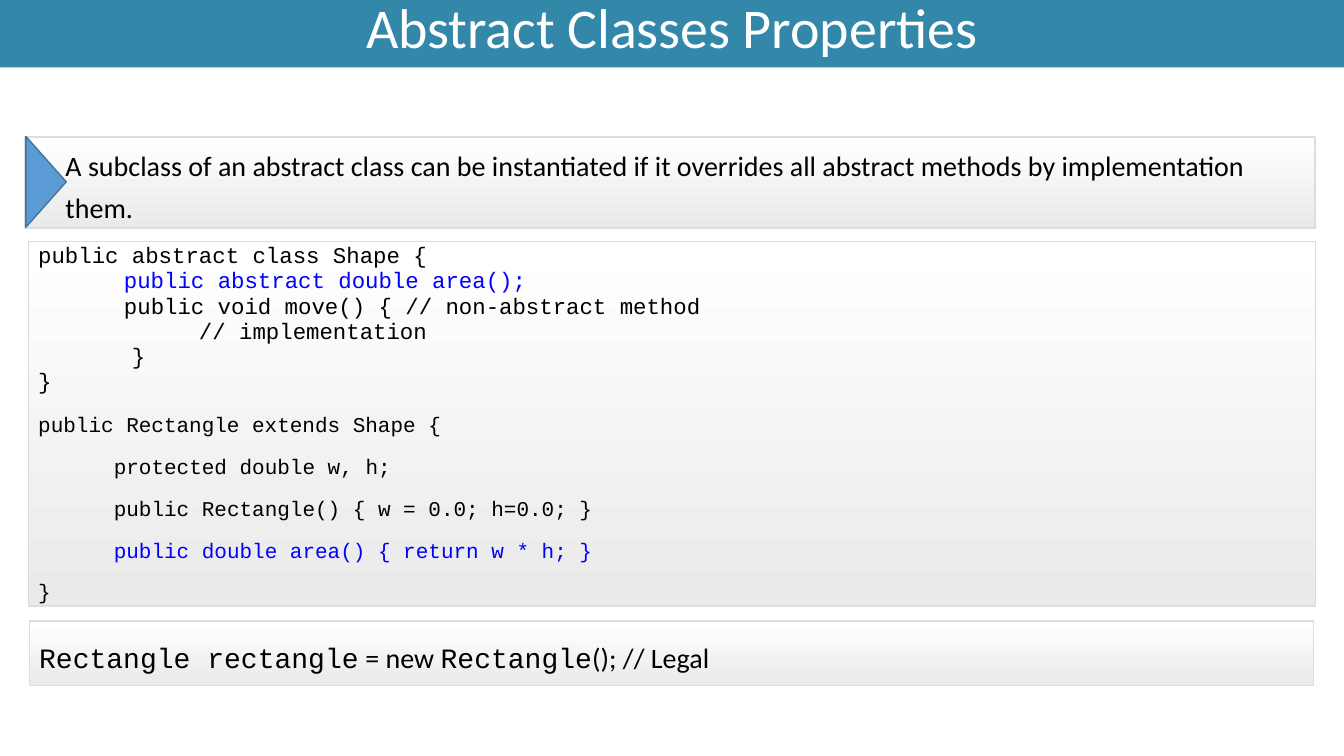
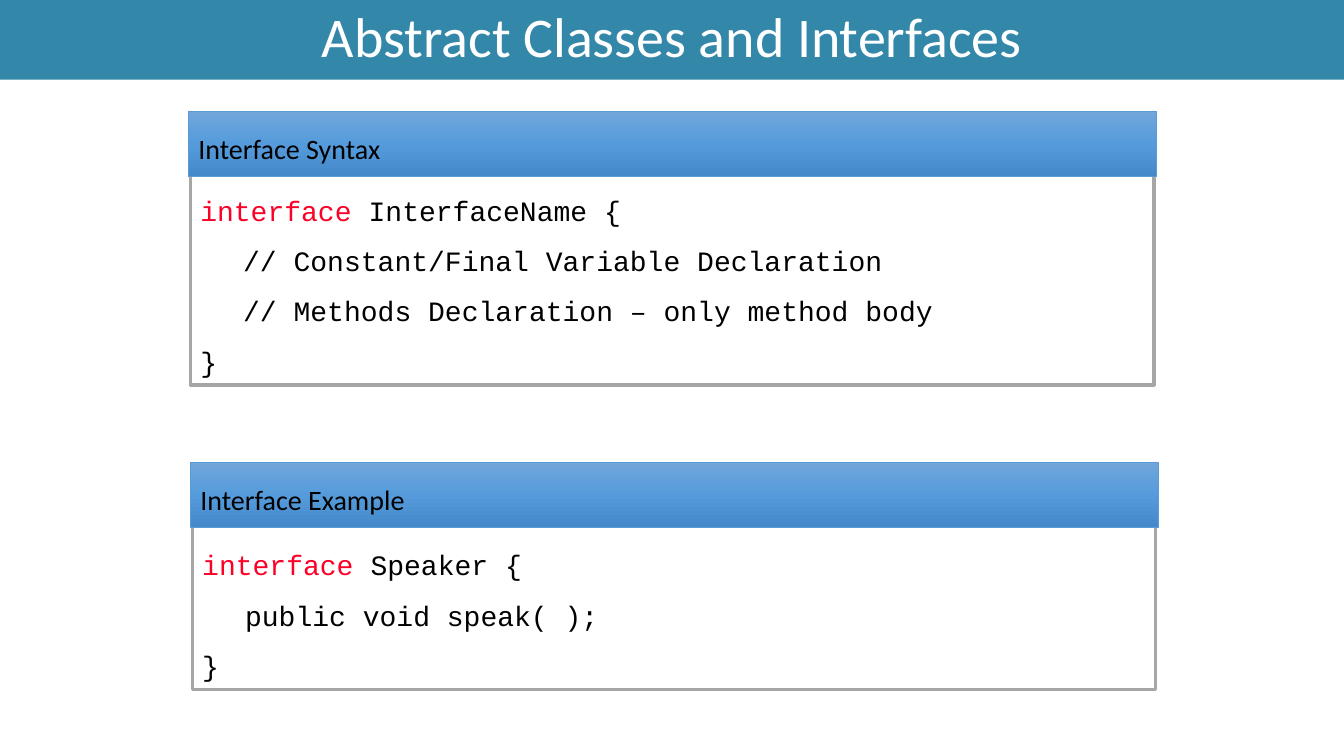
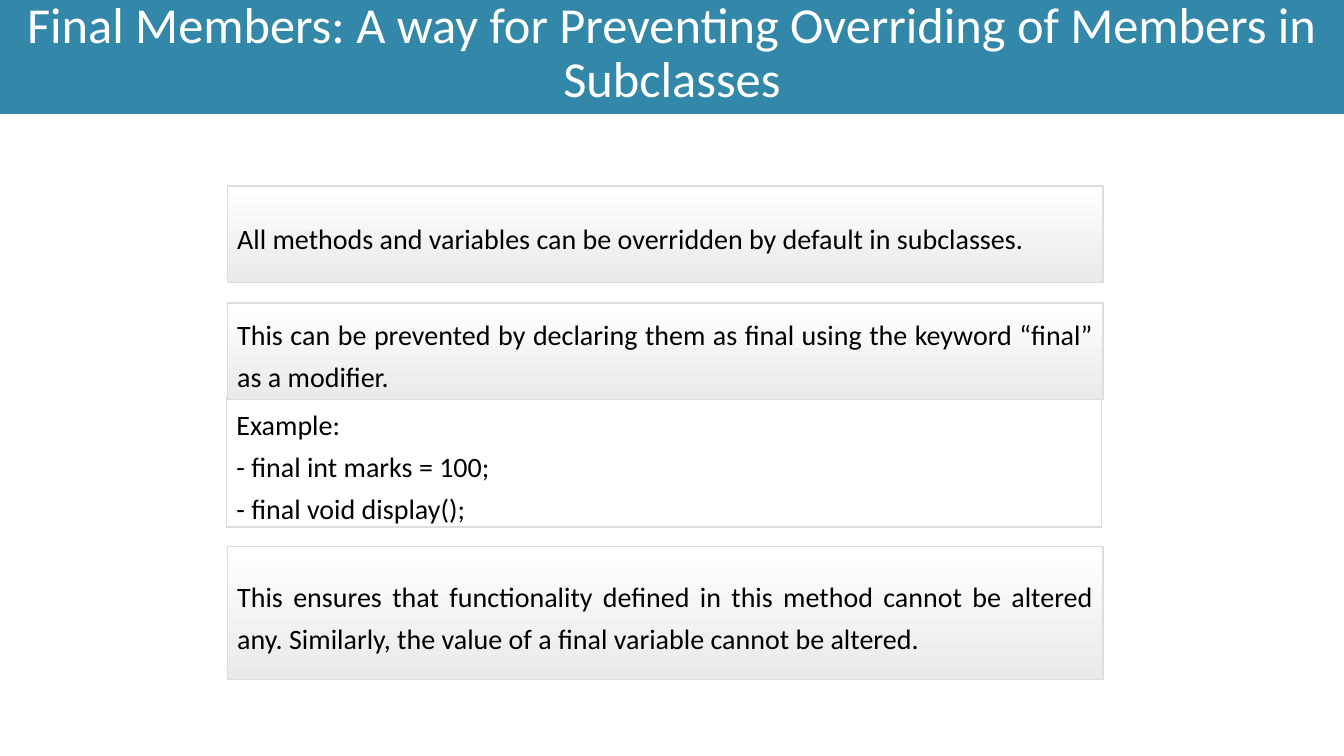
from lxml import etree
from pptx import Presentation
from pptx.dml.color import RGBColor
from pptx.enum.shapes import MSO_SHAPE
from pptx.enum.text import MSO_ANCHOR, MSO_AUTO_SIZE, PP_ALIGN
from pptx.oxml.ns import qn
from pptx.util import Pt

RECT, TRIANGLE = MSO_SHAPE.RECTANGLE, MSO_SHAPE.ISOSCELES_TRIANGLE
TOP, MIDDLE = MSO_ANCHOR.TOP, MSO_ANCHOR.MIDDLE
LEFT, CENTER, JUSTIFY = PP_ALIGN.LEFT, PP_ALIGN.CENTER, PP_ALIGN.JUSTIFY
NO_FIT = MSO_AUTO_SIZE.NONE

SANS, MONO = "Calibri", "Courier New"
SLIDE_W, SLIDE_H = 960, 540
COLORS = {
    "band": "3388A9", "white": "FFFFFF", "black": "000000",
    "panel_end": "EAEAEA", "panel_line": "DDDDDD", "frame": "A6A6A6",
    "blue_top": "71A6DB", "blue_mid": "559BDB", "blue_end": "448ACA",
    "accent": "5B9BD5", "accent_line": "43739E",
    "code_blue": "0000FF", "keyword": "FC0128",
}
PANEL_FILL = ("white", "panel_end")
HEADER_FILL = ("blue_top", "blue_mid", "blue_end")
TEXT_TABS = [54 + 72 * i for i in range(8)]


def rgb(name):
    return RGBColor.from_string(COLORS[name])


class Deck:
    def __init__(self):
        self.prs = Presentation()
        self.prs.slide_width, self.prs.slide_height = Pt(SLIDE_W), Pt(SLIDE_H)
        self.s = None

    def slide(self, title, height, size=40, lift=0):
        """Start a slide with a title band; lift raises the text in the band."""
        self.s = self.prs.slides.add_slide(self.prs.slide_layouts[5])
        sp = self.s.shapes.title
        sp.left, sp.top, sp.width, sp.height = 0, 0, Pt(SLIDE_W), Pt(height)
        sp.fill.solid()
        sp.fill.fore_color.rgb = rgb("band")
        self.frame(sp.text_frame, MIDDLE, 0, lift)
        self.paragraph(sp.text_frame.paragraphs[0], [(title, "white", SANS)],
                       size, 0.9, CENTER)

    def frame(self, tf, anchor, top, bottom, left=7.2):
        tf.word_wrap, tf.auto_size, tf.vertical_anchor = True, NO_FIT, anchor
        tf.margin_left, tf.margin_right = Pt(left), Pt(7.2)
        tf.margin_top, tf.margin_bottom = Pt(top), Pt(bottom)

    def paragraph(self, p, runs, size, spacing, align=LEFT, tabs=()):
        p.alignment, p.line_spacing = align, spacing
        if tabs:
            tab_list = etree.SubElement(p._p.get_or_add_pPr(), qn("a:tabLst"))
            for pos in tabs:
                etree.SubElement(tab_list, qn("a:tab"), pos=str(Pt(pos)), algn="l")
        for text, color, font in runs:
            r = p.add_run()
            r.text = text
            r.font.size, r.font.name = Pt(size), font
            r.font.color.rgb = rgb(color)

    def shape(self, kind, box, fill, line, width):
        """Fill is a tuple of colour names: none, one, or a vertical gradient."""
        sp = self.s.shapes.add_shape(kind, *(Pt(v) for v in box))
        sp.shadow.inherit = False
        sp.line.color.rgb, sp.line.width = rgb(line), Pt(width)
        if not fill:
            sp.fill.background()
        elif len(fill) == 1:
            sp.fill.solid()
            sp.fill.fore_color.rgb = rgb(fill[0])
        else:
            sp.fill.gradient()
            sp.fill.gradient_angle = 270
            stops = next(sp.element.iter(qn("a:gsLst")))
            for gs in list(stops):
                stops.remove(gs)
            for i, name in enumerate(fill):
                pos = str(100000 * i // (len(fill) - 1))
                gs = etree.SubElement(stops, qn("a:gs"), pos=pos)
                etree.SubElement(gs, qn("a:srgbClr"), val=COLORS[name])
        return sp

    def panel(self, box, lines, align=LEFT, fill=PANEL_FILL, line="panel_line",
              width=1, left=7.2):
        """Box of 20 pt text; each line is a list of runs."""
        sp = self.shape(RECT, box, fill, line, width)
        tf = sp.text_frame
        self.frame(tf, MIDDLE, 7.2, 7.2, left)
        self.paragraphs(tf, lines, 20, Pt(30), align, TEXT_TABS)

    def paragraphs(self, tf, lines, *style):
        for runs in lines:
            first = not tf.paragraphs[0].runs
            p = tf.paragraphs[0] if first else tf.add_paragraph()
            self.paragraph(p, runs, *style)

    def two_part_code(self, box, tight, loose):
        """Code panel with closely set lines followed by widely set ones."""
        tf = self.shape(RECT, box, PANEL_FILL, "panel_line", 1).text_frame
        self.frame(tf, MIDDLE, 7.2, 7.2)
        self.paragraphs(tf, tight, 16, Pt(18), LEFT, [23])
        self.paragraphs(tf, loose, 15, Pt(30), LEFT, TEXT_TABS)

    def code_card(self, x, header_top, code_top, code_height, heading, lines):
        """Framed code under a blue heading bar."""
        tf = self.shape(RECT, (x + 1.4, code_top, 688.3, code_height), (),
                        "frame", 2.25).text_frame
        self.frame(tf, TOP, 3.6, 3.6)
        self.paragraphs(tf, lines, 20, 1.5, LEFT, [30.6])
        self.panel((x, header_top, 691.2, 46.4), [sans(heading)],
                   fill=HEADER_FILL, line="accent", width=0.5)

    def pointer(self, x, y, width, height):
        """Triangle pointing right that fills the given box."""
        box = (x + (width - height) / 2, y + (height - width) / 2, height, width)
        self.shape(TRIANGLE, box, ("accent",), "accent_line", 1).rotation = 90


def sans(text, color="black"):
    return [(text, color, SANS)]


def code(text, color="black"):
    return [(text, color, MONO)]


def properties_slide(deck):
    deck.slide("Abstract Classes Properties", 48.2, lift=5)
    deck.panel((18, 98, 921.5, 64.8), [sans(
        "A subclass of an abstract class can be instantiated if it overrides "
        "all abstract methods by implementation them.")], left=28.8)
    deck.pointer(18.5, 97.5, 28.8, 64.8)
    deck.two_part_code(
        (20.2, 172.3, 919.4, 260.6),
        [code("public abstract class Shape {"),
         code("\t    ") + code("public abstract double area();", "code_blue"),
         code("\t    public void move() { // non-abstract method"),
         code("            // implementation"),
         code("       }"),
         code("}")],
        [code("public Rectangle extends Shape {"),
         code("\tprotected double w, h;"),
         code("\tpublic Rectangle() { w = 0.0; h=0.0; }"),
         code("\t") + code("public double area() { return w * h; }", "code_blue"),
         code("}")])
    deck.panel((20.9, 443.7, 917.3, 46), [
        code("Rectangle rectangle") + sans(" = new ")
        + code("Rectangle") + sans("(); // Legal")], JUSTIFY)


def interfaces_slide(deck):
    deck.slide("Abstract Classes and Interfaces", 56.9)
    deck.code_card(134.6, 79.7, 122.4, 152.6, "Interface Syntax", [
        code("interface ", "keyword") + code("InterfaceName {"),
        code("\t// Constant/Final Variable Declaration"),
        code("\t// Methods Declaration – only method body"),
        code("}")])
    deck.code_card(136, 330.4, 375.8, 116.6, "Interface Example", [
        code("interface", "keyword") + code(" Speaker {"),
        code("\tpublic void speak( );"),
        code("}")])


def final_slide(deck):
    deck.slide("Final Members: A way for Preventing Overriding of Members in "
               "Subclasses", 81.4, size=36, lift=4)
    x, width = 162.3, 625.7
    deck.panel((x - 0.5, 283.7, width - 0.5, 92.9), [
        sans("Example:"),
        sans("- final int marks = 100;"),
        sans("- final void display();")], fill=())
    for top, height, text in (
            (132.8, 69, "All methods and variables can be overridden by default "
                        "in subclasses."),
            (216.5, 69, "This can be prevented by declaring them as final using "
                        "the keyword “final” as a modifier."),
            (390.2, 95, "This ensures that functionality defined in this method "
                        "cannot be altered any. Similarly, the value of a final "
                        "variable cannot be altered.")):
        deck.panel((x, top, width, height), [sans(text)], JUSTIFY)


def main():
    deck = Deck()
    properties_slide(deck)
    interfaces_slide(deck)
    final_slide(deck)
    deck.prs.save("out.pptx")


if __name__ == "__main__":
    main()
